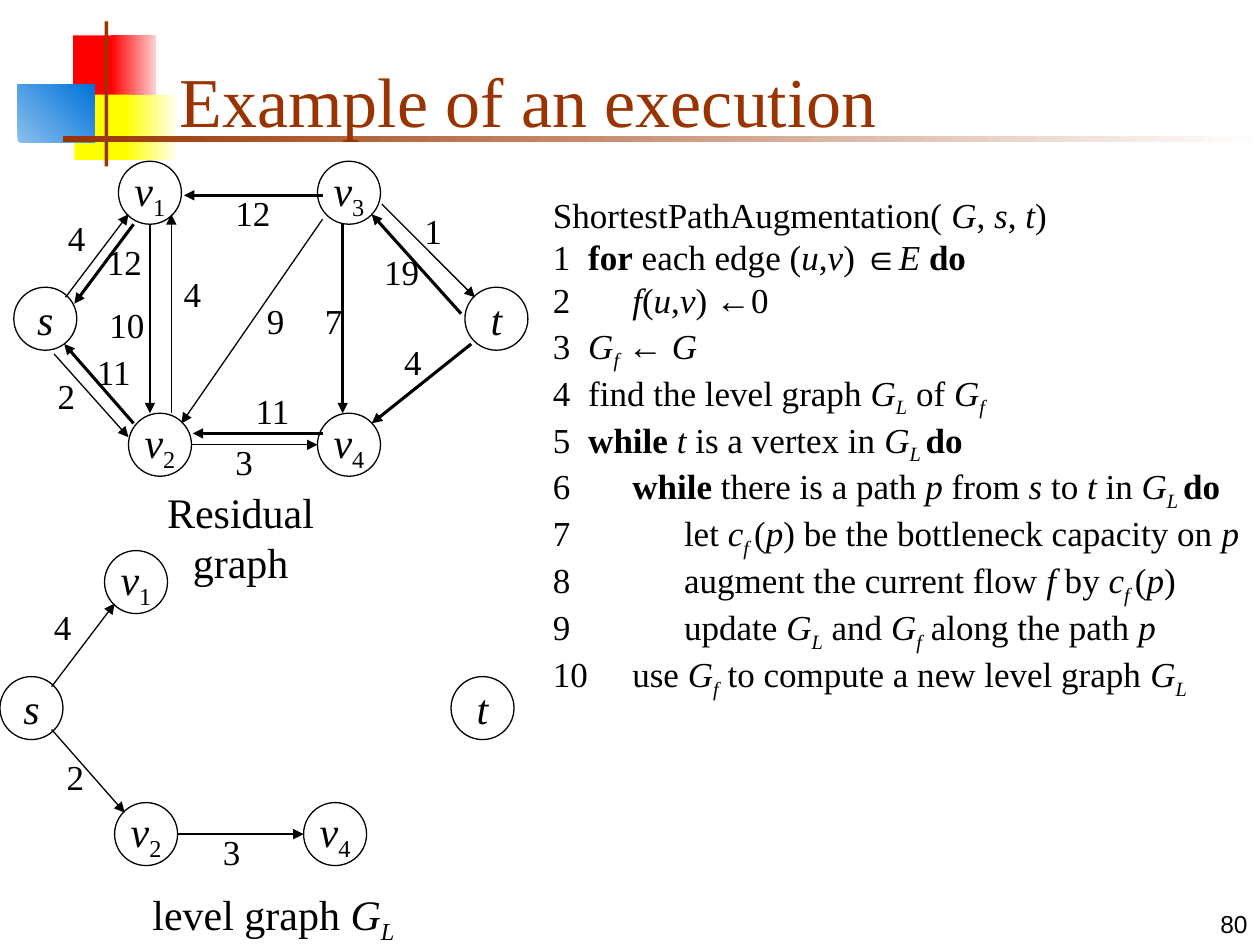
"""Build a slide with a residual graph, its level graph and the augmentation algorithm."""
import dataclasses

import lxml.etree
import pptx
import pptx.dml.color
import pptx.enum.shapes
import pptx.enum.text
import pptx.oxml.ns
import pptx.util

Inches = pptx.util.Inches
Pt = pptx.util.Pt
RGB = pptx.dml.color.RGBColor.from_string
SHAPE = pptx.enum.shapes.MSO_SHAPE
ALIGN = pptx.enum.text.PP_ALIGN
ANCHOR = pptx.enum.text.MSO_ANCHOR
qn = pptx.oxml.ns.qn


@dataclasses.dataclass(frozen=True)
class Theme:
    serif: str = "Times New Roman"
    sans: str = "Arial"
    ink: str = "000000"
    accent: str = "993300"
    title: int = 40
    node: int = 24
    body: int = 20
    number: int = 14
    thin: float = 0.75
    thick: float = 1.75


theme = Theme()


def write(p, marked, size, color=theme.ink, font=theme.serif, align=ALIGN.LEFT):
    """Write text in which _ toggles italic, * toggles bold and ~ toggles subscript."""
    p.alignment = align
    p.font.name, p.font.size = font, Pt(size)
    p.font.color.rgb = RGB(color)
    on = {"_": False, "*": False, "~": False}
    chunk = ""
    for char in marked + "\n":
        if char not in on and char != "\n":
            chunk += char
            continue
        if chunk:
            r = p.add_run()
            r.text = chunk
            if on["_"]:
                r.font.italic = True
            if on["*"]:
                r.font.bold = True
            if on["~"]:
                r.font._element.set("baseline", "-25000")
            chunk = ""
        if char in on:
            on[char] = not on[char]


def text_box(x, y, w, h, marked, size, anchor=ANCHOR.TOP, wrap=False, **style):
    """Add a text box holding one paragraph."""
    sp = s.shapes.add_textbox(Inches(x), Inches(y), Inches(w), Inches(h))
    tf = sp.text_frame
    tf.word_wrap = wrap
    tf.vertical_anchor = anchor
    write(tf.paragraphs[0], marked, size, **style)


prs = pptx.Presentation()
prs.slide_width, prs.slide_height = Inches(10), Inches(7.5)
s = prs.slides.add_slide(prs.slide_layouts[6])

decorations = [
    (0.58, 0.28, 0.35, 0.52, ["FF0000"], 0),
    (0.88, 0.28, 0.36, 0.52, ["FF0000", "FFD1D1"], 0),
    (0.59, 0.75, 0.46, 0.52, ["FFFF00"], 0),
    (1, 0.75, 0.4, 0.52, ["FFFF00", "FFFFF0"], 0),
    (0.14, 0.67, 0.61, 0.46, ["8BBFEE", "0073D9"], 45),
    (0.83, 0.17, 0.03, 1.15, [theme.accent], 0),
    (0.5, 1.08, 9.5, 0.05, [theme.accent, "FFFFFF"], 0),
]
for x, y, w, h, colors, angle in decorations:
    sp = s.shapes.add_shape(SHAPE.RECTANGLE, Inches(x), Inches(y), Inches(w), Inches(h))
    sp.shadow.inherit = False
    sp.line.fill.background()
    if len(colors) == 1:
        sp.fill.solid()
        sp.fill.fore_color.rgb = RGB(colors[0])
    else:
        sp.fill.gradient()
        sp.fill.gradient_angle = angle
        for stop, color in zip(sp.fill.gradient_stops, colors):
            stop.color.rgb = RGB(color)

text_box(7.92, 7, 2.08, 0.5, "80", theme.number, ANCHOR.BOTTOM, True,
         font=theme.sans, align=ALIGN.RIGHT)
text_box(1.33, 0.25, 8.52, 0.92, "Example of an execution", theme.title, ANCHOR.BOTTOM, True,
         color=theme.accent)

nodes = {
    "_s_": (0.11, 2.28),
    "_v_~1~": (0.94, 1.28),
    "_v_~2~": (1.02, 3.28),
    "_v_~3~": (2.52, 1.28),
    "_v_~4~": (2.52, 3.28),
    "_t_": (3.69, 2.28),
}
level_edges = [
    (0.52, 2.36, 1.02, 1.7),
    (0.52, 2.7, 1.1, 3.36),
    (1.52, 3.53, 2.52, 3.53),
]
thin_edges = [
    level_edges[0],
    (3.03, 1.62, 3.77, 2.36),
    (0.43, 2.81, 1.02, 3.47),
    level_edges[2],
    (2.56, 1.74, 1.44, 3.36),
    (1.19, 1.78, 1.19, 3.28),
    (1.36, 3.28, 1.36, 1.7),
]
thick_edges = [
    (1.06, 1.78, 0.59, 2.41),
    (2.56, 1.55, 1.46, 1.55),
    (3.66, 2.49, 2.95, 1.7),
    (3.74, 2.73, 2.95, 3.36),
    (2.56, 3.44, 1.53, 3.44),
    (1.06, 3.36, 0.51, 2.73),
    (2.72, 1.78, 2.72, 3.28),
]
graphs = [
    (0, 0, list(nodes), [(thin_edges, theme.thin), (thick_edges, theme.thick)]),
    (-0.11, 3.09, [n for n in nodes if n != "_v_~3~"], [(level_edges, theme.thin)]),
]
for dx, dy, names, edge_groups in graphs:
    for name in names:
        x, y = nodes[name]
        sp = s.shapes.add_shape(SHAPE.OVAL, Inches(x + dx), Inches(y + dy), Inches(0.5), Inches(0.5))
        sp.shadow.inherit = False
        sp.fill.background()
        sp.line.color.rgb = RGB(theme.ink)
        sp.line.width = Pt(theme.thin)
        tf = sp.text_frame
        tf.word_wrap = False
        tf.vertical_anchor = ANCHOR.MIDDLE
        write(tf.paragraphs[0], name, theme.node, align=ALIGN.CENTER)
    for edges, width in edge_groups:
        for x1, y1, x2, y2 in edges:
            edge = s.shapes.add_connector(
                pptx.enum.shapes.MSO_CONNECTOR.STRAIGHT,
                Inches(x1 + dx), Inches(y1 + dy), Inches(x2 + dx), Inches(y2 + dy))
            edge.line.color.rgb = RGB(theme.ink)
            edge.line.width = Pt(width)
            lxml.etree.SubElement(edge.line._get_or_add_ln(), qn("a:tailEnd"), type="triangle")
            lxml.etree.SubElement(edge._element.spPr, qn("a:effectLst"))

capacities = [
    ("4", 0.44, 1.67), ("12", 1.77, 1.47), ("2", 0.36, 2.92), ("10", 0.77, 2.36),
    ("4", 1.36, 2.11), ("9", 2.02, 2.33), ("7", 2.48, 2.33), ("1", 3.27, 1.61),
    ("4", 3.11, 2.65), ("3", 1.77, 3.45), ("12", 0.75, 1.86), ("19", 2.95, 1.94),
    ("11", 1.93, 3.04), ("11", 0.67, 2.73),
    ("4", 0.33, 4.76), ("2", 0.43, 5.95), ("3", 1.67, 6.54),
]
for value, x, y in capacities:
    text_box(x, y, 0.2 + 0.14 * len(value), 0.44, value, theme.body)

text_box(0.81, 3.81, 2.2, 0.5, "Residual graph", theme.node, align=ALIGN.CENTER)
text_box(1.11, 7, 2.12, 0.56, "level graph _G~L~_", theme.node, align=ALIGN.CENTER)

tab_stops = [0.28, 0.63, 1.04]
algorithm = [
    (0, "ShortestPathAugmentation( _G_, _s_, _t_)"),
    (0, "1\t*for* each edge (_u_,_v_) ∈_E_ *do*"),
    (1, "2\t_f_(_u_,_v_) ←0"),
    (0, "3\t_G~f~_ ← _G_"),
    (0, "4\tfind the level graph _G~L~_ of _G~f~_"),
    (0, "5\t*while* _t_ is a vertex in _G~L ~_*do*"),
    (1, "6\t*while* there is a path _p_ from _s_ to _t_ in _G~L ~_*do*"),
    (2, "7\tlet _c~f ~_(_p_) be the bottleneck capacity on _p_"),
    (2, "8\taugment the current flow _f_ by _c~f ~_(_p_)"),
    (2, "9\tupdate _G~L~_ and _G~f~_ along the path _p_"),
    (1, "10\tuse _G~f~_ to compute a new level graph _G~L~_"),
]
sp = s.shapes.add_textbox(Inches(4.29), Inches(1.55), Inches(5.71), Inches(3.78))
tf = sp.text_frame
tf.word_wrap = True
tf.margin_right = 0
for i, (depth, line) in enumerate(algorithm):
    p = tf.add_paragraph() if i else tf.paragraphs[0]
    p.line_spacing = 0.8
    if i:
        p.space_before = Pt(5)
    tabs = lxml.etree.SubElement(p._p.get_or_add_pPr(), qn("a:tabLst"))
    lxml.etree.SubElement(tabs, qn("a:tab"), pos=str(Inches(tab_stops[depth])), algn="l")
    write(p, line, theme.body)

prs.save("out.pptx")
